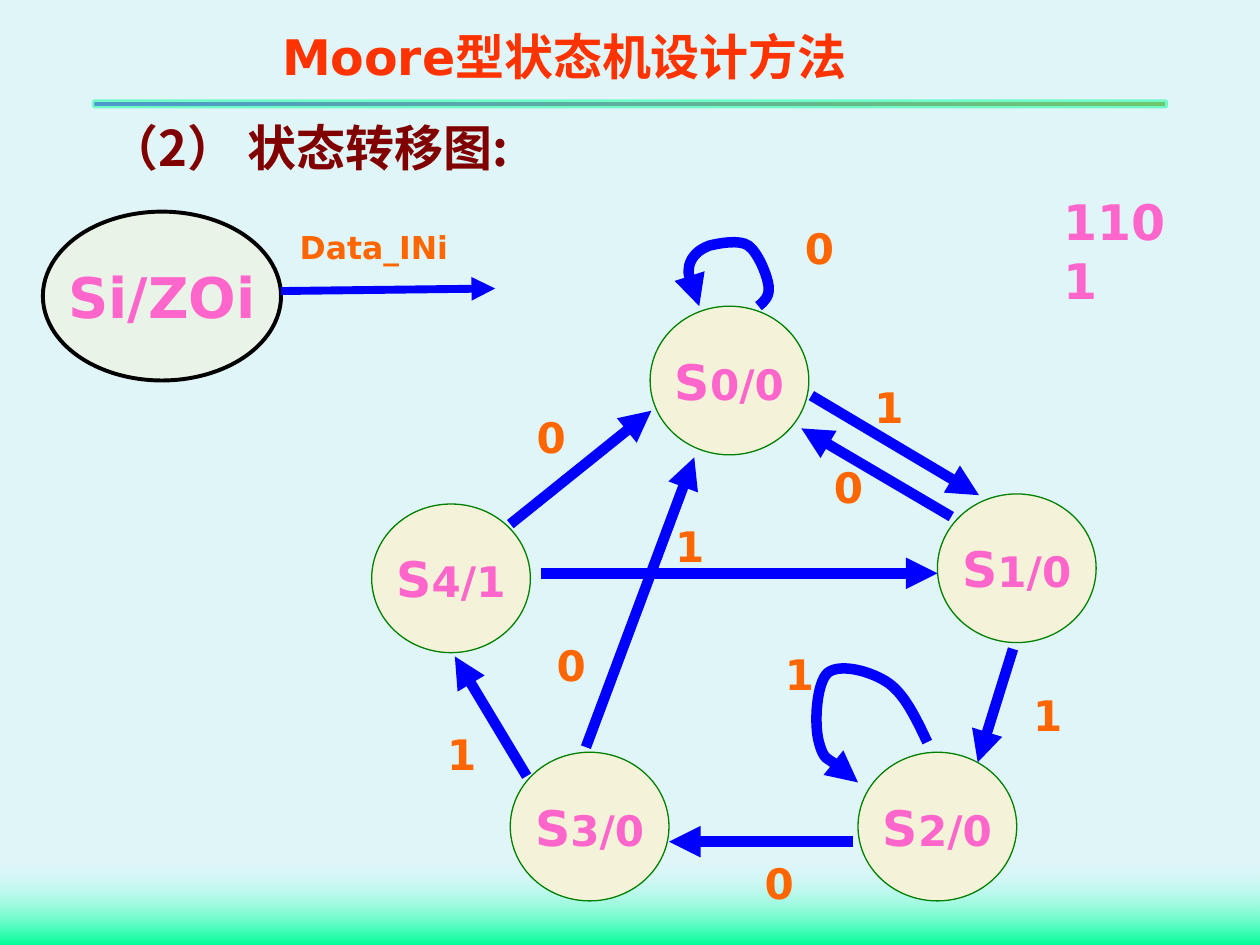
from dataclasses import dataclass
from typing import Any

from lxml.etree import SubElement
from pptx import Presentation
from pptx.dml.color import RGBColor
from pptx.enum.shapes import MSO_CONNECTOR, MSO_SHAPE
from pptx.enum.text import MSO_ANCHOR, MSO_AUTO_SIZE, PP_ALIGN
from pptx.oxml.ns import qn
from pptx.util import Inches, Pt

COLORS = {
    "background": "E0F5F8", "band_top": "CCFFFF", "green": "00FF99",
    "rule_left": "9933FF", "rule_right": "E09142", "state": "F4F3D9",
    "state_edge": "008000", "arrow": "0000FF", "pink": "FF66CC",
    "label": "FF6600", "heading": "FF3300", "subtitle": "800000",
    "black": "000000",
}
COLUMNS, ROWS = 10, 7.5


def rgb(name):
    return RGBColor.from_string(COLORS[name])


def set_alpha(parent, percent):
    color = next(parent.iter(qn("a:srgbClr")))
    SubElement(color, qn("a:alpha"), val=str(percent * 1000))


def write_text(frame, *runs, color, font="DejaVu Sans", align=PP_ALIGN.LEFT,
               anchor=MSO_ANCHOR.TOP, wrap=True, fit=MSO_AUTO_SIZE.NONE):
    frame.word_wrap = wrap
    frame.auto_size = fit
    frame.vertical_anchor = anchor
    paragraph = frame.paragraphs[0]
    paragraph.alignment = align
    for words, size in runs:
        run = paragraph.add_run()
        run.text = words
        run.font.size = Pt(size)
        run.font.bold = True
        run.font.color.rgb = rgb(color)
        run.font.name = font
        SubElement(run.font._element, qn("a:ea"), typeface="Noto Sans CJK SC")


@dataclass
class Diagram:
    slide: Any
    shapes: Any
    column: int
    row: int
    arrow_color: str = "arrow"
    arrow_width: float = 6

    def point(self, left, top):
        return round(left * self.column), round(top * self.row)

    def place(self, left, top, width, height):
        return (*self.point(left, top), *self.point(width, height))

    def title(self, words, box):
        title = self.slide.shapes.title
        title.left, title.top, title.width, title.height = self.place(*box)
        write_text(title.text_frame, (words, 28), color="subtitle",
                   font="Noto Sans CJK SC")

    def text(self, words, box, size, color):
        textbox = self.shapes.add_textbox(*self.place(*box))
        write_text(textbox.text_frame, (words, size), color=color,
                   fit=MSO_AUTO_SIZE.SHAPE_TO_FIT_TEXT)

    def label(self, words, left, top):
        self.text(words, (left, top, 0.39, 0.5), 24, "label")

    def bar(self, box, colors, angle):
        bar = self.shapes.add_shape(MSO_SHAPE.RECTANGLE, *self.place(*box))
        bar.shadow.inherit = False
        bar.fill.gradient()
        bar.fill.gradient_angle = angle
        for stop, color in zip(bar.fill.gradient_stops, colors):
            stop.color.rgb = rgb(color)
        bar.line.fill.background()
        return bar

    def state(self, box, *runs, edge="state_edge", edge_width=0.75):
        state = self.shapes.add_shape(MSO_SHAPE.OVAL, *self.place(*box))
        state.shadow.inherit = False
        state.fill.solid()
        state.fill.fore_color.rgb = rgb("state")
        state.line.color.rgb = rgb(edge)
        state.line.width = Pt(edge_width)
        write_text(state.text_frame, *runs, color="pink", wrap=False,
                   align=PP_ALIGN.CENTER, anchor=MSO_ANCHOR.MIDDLE)
        return state

    def style_arrow(self, line, width):
        line.color.rgb = rgb(self.arrow_color)
        line.width = Pt(width)
        SubElement(line._get_or_add_ln(), qn("a:tailEnd"), type="triangle")

    def arrow(self, start, end, width=None):
        arrow = self.shapes.add_connector(
            MSO_CONNECTOR.STRAIGHT, *self.place(*start, *end))
        self.style_arrow(arrow.line, width or self.arrow_width)
        SubElement(arrow._element.spPr, qn("a:effectLst"))

    def loop(self, start, *controls):
        builder = self.shapes.build_freeform(*self.point(*start))
        builder.add_line_segments([self.point(*control) for control in controls],
                                  close=False)
        loop = builder.convert_to_shape()
        loop.shadow.inherit = False
        loop.fill.background()
        self.style_arrow(loop.line, self.arrow_width)
        outline = next(loop._element.iter(qn("a:path")))
        segments = outline.findall(qn("a:lnTo"))
        for first in range(0, len(segments), 3):
            curve = SubElement(outline, qn("a:cubicBezTo"))
            for segment in segments[first:first + 3]:
                curve.append(segment[0])
                outline.remove(segment)


def main():
    presentation = Presentation()
    presentation.slide_width, presentation.slide_height = Inches(10), Inches(7.5)
    slide = presentation.slides.add_slide(presentation.slide_layouts[5])
    slide.background.fill.solid()
    slide.background.fill.fore_color.rgb = rgb("background")
    diagram = Diagram(slide, slide.shapes,
                      presentation.slide_width / COLUMNS,
                      presentation.slide_height / ROWS)

    band = diagram.bar((0, 6.83, 10, 0.67), ("band_top", "green"), 270)
    set_alpha(band._element.spPr, 0)
    rule = diagram.bar((0.75, 0.81, 8.5, 0.03), ("rule_left", "rule_right"), 0)
    rule.line.color.rgb = rgb("green")
    rule.line.width = Pt(3)
    set_alpha(rule.line._get_or_add_ln(), 50)

    diagram.title("（2） 状态转移图:", (0.77, 0.88, 4.25, 1.04))
    diagram.text("1101", (8.34, 1.47, 1.09, 0.57), 28, "pink")

    states = {"0/0": (5.16, 2.43), "1/0": (7.44, 3.92), "2/0": (6.81, 5.97),
              "4/1": (2.95, 4), "3/0": (4.05, 5.97)}
    for code, corner in states.items():
        diagram.state((*corner, 1.26, 1.18), ("S", 28), (code, 24))

    transitions = [
        ("1", (6.84, 2.98), (6.44, 3.14), (7.77, 3.93)),
        ("1", (8.1, 5.42), (8.04, 5.15), (7.76, 6.05)),
        ("0", (5.97, 6.76), (6.77, 6.68), (5.31, 6.68)),
        ("1", (3.45, 5.73), (4.18, 6.16), (3.61, 5.21)),
        ("0", (4.16, 3.22), (4.05, 4.16), (5.17, 3.26)),
        ("1", (5.26, 4.08), (4.29, 4.55), (7.44, 4.55)),
        ("0", (6.52, 3.61), (7.55, 4.1), (6.36, 3.4)),
        ("0", (4.32, 5.03), (4.65, 5.93), (5.51, 3.63)),
    ]
    for value, corner, start, end in transitions:
        diagram.arrow(start, end)
        diagram.label(value, *corner)

    diagram.loop((7.36, 5.89), (7.27, 5.7), (7.18, 5.51), (7.05, 5.42),
                 (6.92, 5.33), (6.67, 5.26), (6.57, 5.34),
                 (6.48, 5.42), (6.46, 5.75), (6.5, 5.89),
                 (6.54, 6.04), (6.76, 6.15), (6.81, 6.21))
    diagram.label("1", 6.13, 5.1)
    diagram.loop((6.02, 2.43), (6.07, 2.39), (6.11, 2.35), (6.1, 2.27),
                 (6.09, 2.19), (6.02, 2.01), (5.94, 1.95),
                 (5.87, 1.9), (5.71, 1.93), (5.63, 1.95),
                 (5.55, 1.98), (5.49, 2.03), (5.47, 2.11),
                 (5.46, 2.19), (5.5, 2.31), (5.55, 2.43))
    diagram.label("0", 6.29, 1.72)

    diagram.shapes = slide.shapes.add_group_shape().shapes
    legend = diagram.state((0.34, 1.68, 1.89, 1.34), ("Si/ZOi", 32),
                           edge="black", edge_width=2.25)
    set_alpha(legend._element.spPr, 53)
    diagram.arrow((2.23, 2.31), (3.93, 2.29), width=4.5)
    diagram.text("Data_INi", (2.28, 1.76, 2.11, 0.4), 18, "label")
    diagram.shapes = slide.shapes

    diagram.text("Moore型状态机设计方法", (2.14, 0.16, 6.82, 0.57), 28, "heading")
    presentation.save("out.pptx")


if __name__ == "__main__":
    main()
